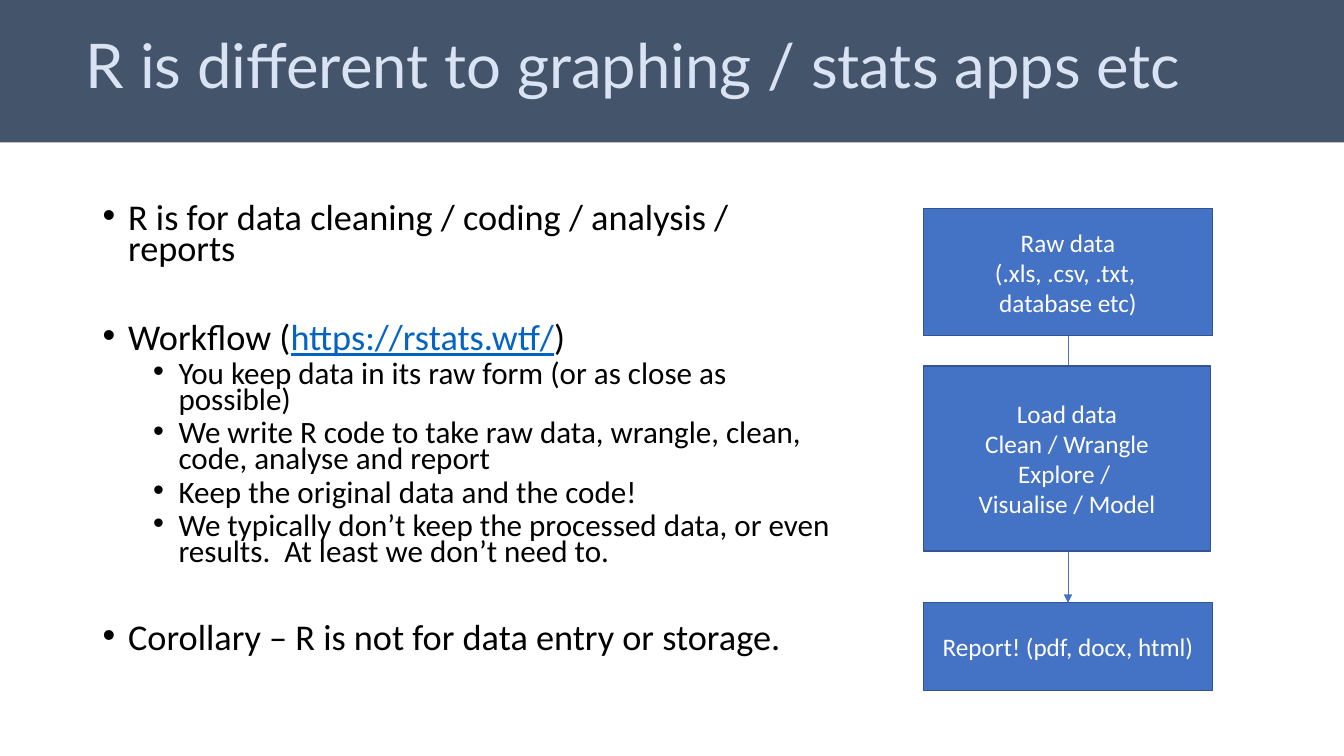
from lxml import etree
from pptx import Presentation
from pptx.dml.color import RGBColor
from pptx.enum.shapes import MSO_CONNECTOR, MSO_SHAPE
from pptx.enum.text import MSO_ANCHOR, MSO_AUTO_SIZE, PP_ALIGN
from pptx.oxml.ns import qn
from pptx.util import Cm, Pt

RECTANGLE = MSO_SHAPE.RECTANGLE
STRAIGHT = MSO_CONNECTOR.STRAIGHT
MIDDLE = MSO_ANCHOR.MIDDLE
NO_AUTOFIT = MSO_AUTO_SIZE.NONE
LEFT, CENTER = PP_ALIGN.LEFT, PP_ALIGN.CENTER

TITLE_ONLY = 5
COLORS = {
    "banner": "44546A",
    "title": "DAE3F3",
    "text": "000000",
    "link": "0563C1",
    "box": "4472C4",
    "box_line": "325491",
    "box_text": "FFFFFF",
}
BULLET_LEVELS = [  # size, indent in cm, space before
    {"size": 25.9, "indent": 0.64, "before": 10},
    {"size": 22.2, "indent": 1.91, "before": 5},
]
HANGING = 0.64
SECTION_GAP = 42

BULLETS = [  # level, space before (None for the level's own), text pieces
    (0, None, ["R is for data cleaning / coding / analysis / reports"]),
    (0, SECTION_GAP, ["Workflow (", "https://rstats.wtf/", ")"]),
    (1, None, ["You keep data in its raw form (or as close as possible)"]),
    (1, None, ["We write R code to take raw data, wrangle, clean, code, analyse and report"]),
    (1, None, ["Keep the original data and the code!"]),
    (1, None, ["We typically don’t keep the processed data, or even results.\u00a0 At least we don’t need to."]),
    (0, SECTION_GAP, ["Corollary – R is not for data entry or storage."]),
]

BOX_LEFT, BOX_WIDTH = 23.27, 7.29
STEPS = [  # top, height, width, paragraphs
    (5.26, 3.2, BOX_WIDTH, ["Raw data", "(.xls, .csv, .txt, \vdatabase etc)"]),
    (15.19, 2.21, BOX_WIDTH, ["Report! (pdf, docx, html)"]),
    (9.22, 4.67, 7.24, ["Load data", "Clean / Wrangle", "Explore / ", "Visualise / Model"]),
]


def rgb(name):
    return RGBColor.from_string(COLORS[name])


def add_text(paragraph, text, *, size, color, font="Calibri", underline=False):
    """Append formatted text to the paragraph; a vertical tab breaks the line."""
    for index, line in enumerate(text.split("\v")):
        if index:
            paragraph.add_line_break()
        run = paragraph.add_run()
        run.text = line
        run.font.name = font
        run.font.size = Pt(size)
        run.font.color.rgb = rgb(color)
        run.font.underline = underline


def add_bullet(paragraph, indent):
    properties = paragraph._p.get_or_add_pPr()
    properties.set("marL", str(Cm(indent)))
    properties.set("indent", str(-Cm(HANGING)))
    etree.SubElement(properties, qn("a:buFont"), typeface="Arial")
    etree.SubElement(properties, qn("a:buChar"), char="•")


def paragraphs_for(text_frame, items):
    """Yield each item with its own paragraph, starting with the existing one."""
    for index, item in enumerate(items):
        yield (text_frame.add_paragraph() if index else text_frame.paragraphs[0]), item


class WorkflowSlide:
    """Holds the slide and the style of its elements; lengths are in cm."""

    def __init__(self, presentation):
        self.slide = presentation.slides.add_slide(presentation.slide_layouts[TITLE_ONLY])
        self.shapes = self.slide.shapes

    def title(self, text, left, top, width, height):
        shape = self.shapes.title
        shape.left, shape.top, shape.width, shape.height = map(Cm, (left, top, width, height))
        shape.fill.solid()
        shape.fill.fore_color.rgb = rgb("banner")
        frame = shape.text_frame
        frame.auto_size = NO_AUTOFIT
        frame.word_wrap = True
        frame.vertical_anchor = MIDDLE
        frame.margin_left, frame.margin_right = Cm(2.39), Cm(0.25)
        frame.margin_top, frame.margin_bottom = Cm(0.13), Cm(0)
        paragraph = frame.paragraphs[0]
        paragraph.alignment = LEFT
        paragraph.line_spacing = 0.9
        add_text(paragraph, text, size=44, color="title", font="Lato")

    def bullets(self, items, left, top, width, height):
        frame = self.shapes.add_textbox(*map(Cm, (left, top, width, height))).text_frame
        frame.word_wrap = True
        for paragraph, (level, gap, pieces) in paragraphs_for(frame, items):
            style = BULLET_LEVELS[level]
            paragraph.level = level
            paragraph.line_spacing = 0.7
            paragraph.space_before = Pt(gap or style["before"])
            add_bullet(paragraph, style["indent"])
            for piece in pieces:
                is_link = piece.startswith("https:")
                add_text(paragraph, piece, size=style["size"],
                         color="link" if is_link else "text", underline=is_link)

    def box(self, lines, left, top, width, height):
        shape = self.shapes.add_shape(RECTANGLE, *map(Cm, (left, top, width, height)))
        shape.shadow.inherit = False
        shape.fill.solid()
        shape.fill.fore_color.rgb = rgb("box")
        shape.line.color.rgb = rgb("box_line")
        shape.line.width = Pt(1)
        frame = shape.text_frame
        frame.word_wrap = True
        frame.vertical_anchor = MIDDLE
        for paragraph, line in paragraphs_for(frame, lines):
            paragraph.alignment = CENTER
            add_text(paragraph, line, size=18, color="box_text")

    def down_arrow(self, x, top, bottom):
        connector = self.shapes.add_connector(STRAIGHT, Cm(x), Cm(top), Cm(x), Cm(bottom))
        connector.line.color.rgb = rgb("box")
        connector.line.width = Pt(0.5)
        etree.SubElement(connector.line._get_or_add_ln(), qn("a:tailEnd"), type="triangle")
        etree.SubElement(connector._element.spPr, qn("a:effectLst"))


def main():
    presentation = Presentation()
    presentation.slide_width, presentation.slide_height = Cm(33.87), Cm(19.05)
    slide = WorkflowSlide(presentation)
    slide.title("R is different to graphing / stats apps etc", -0.23, -0.25, 34.34, 3.84)
    slide.bullets(BULLETS, 2.34, 5.08, 19, 12.09)

    raw_top, raw_height = STEPS[0][:2]
    report_top = STEPS[1][0]
    slide.down_arrow(BOX_LEFT + BOX_WIDTH / 2, raw_top + raw_height, report_top)
    for top, height, width, lines in STEPS:
        slide.box(lines, BOX_LEFT, top, width, height)
    presentation.save("out.pptx")


if __name__ == "__main__":
    main()
